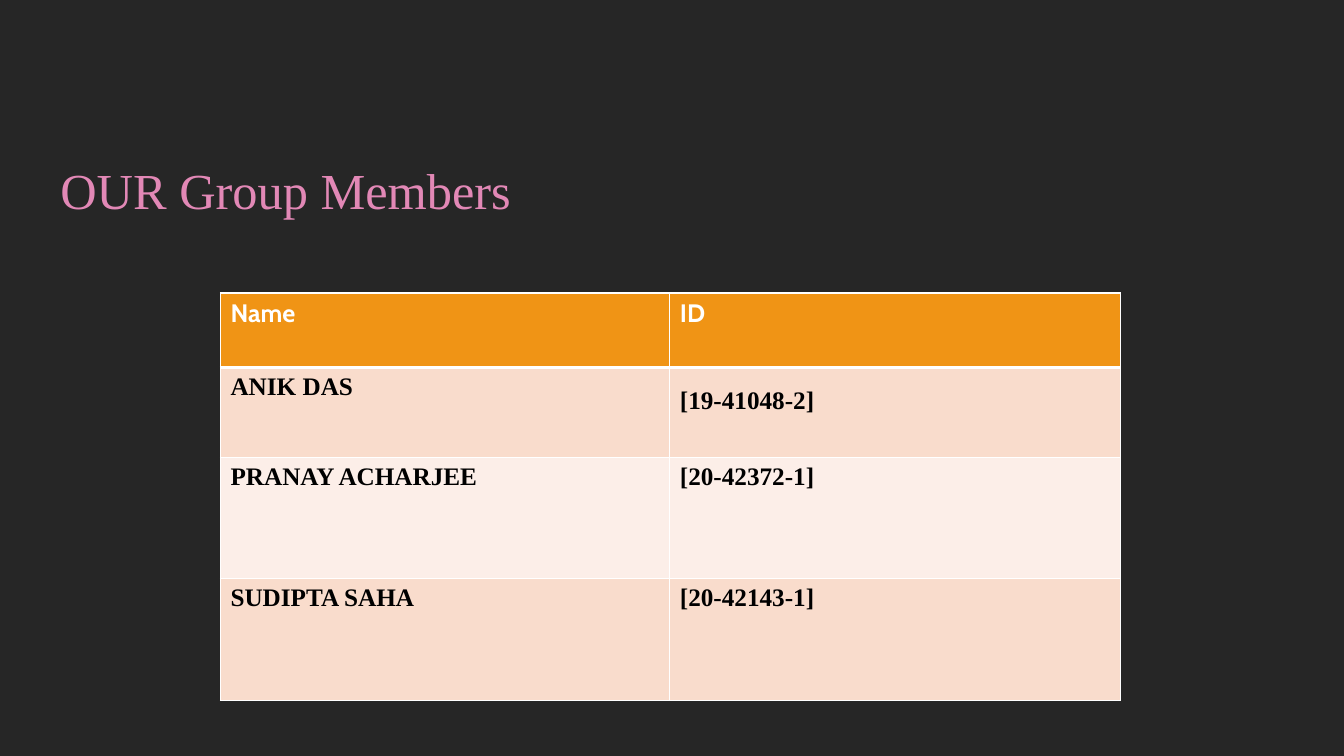
from dataclasses import dataclass

from lxml import etree
from pptx import Presentation
from pptx.dml.color import RGBColor
from pptx.enum.text import MSO_ANCHOR
from pptx.oxml.ns import qn
from pptx.util import Emu, Pt

MIDDLE = MSO_ANCHOR.MIDDLE
EMU_PER_PX = 9525


@dataclass(frozen=True)
class Theme:
    background: str = "262626"
    title: str = "E288B6"
    header: str = "F09415"
    bands: tuple = ("F9DCCC", "FCEEE8")
    header_text: str = "FFFFFF"
    body_text: str = "000000"
    border: str = "FFFFFF"
    serif: str = "Times New Roman"
    sans: str = "Cabin"
    title_size: int = 36
    cell_size: int = 18
    border_width: int = 1
    header_rule: int = 3


THEME = Theme()

HEADER = ("Name", "ID")
MEMBERS = [
    ("ANIK DAS", "[19-41048-2]"),
    ("PRANAY ACHARJEE", "[20-42372-1]"),
    ("SUDIPTA SAHA", "[20-42143-1]"),
]
FIRST_ID_LEADING = 30
TITLE_LEADING = 46
COLUMN_WIDTHS = (428, 429)
ROW_HEIGHTS = (71, 86, 115, 116)


def px(n):
    return Emu(n * EMU_PER_PX)


def rgb(color):
    return RGBColor.from_string(color)


def add_run(tf, text, font, size, color, bold=False, leading=None):
    """Put one run in the first paragraph; leading is an exact height in points."""
    p = tf.paragraphs[0]
    if leading:
        p.line_spacing = Pt(leading)
    r = p.add_run()
    r.text = text
    r.font.name = font
    r.font.size = Pt(size)
    r.font.bold = bold
    r.font.color.rgb = rgb(color)


def set_borders(cell, top, bottom):
    tc_pr = cell._tc.get_or_add_tcPr()
    side = THEME.border_width
    for tag, width in (("lnL", side), ("lnR", side), ("lnT", top), ("lnB", bottom)):
        ln = etree.SubElement(tc_pr, qn(f"a:{tag}"), w=str(Pt(width)))
        fill = etree.SubElement(ln, qn("a:solidFill"))
        etree.SubElement(fill, qn("a:srgbClr"), val=THEME.border)


def add_title(s, text):
    tf = s.shapes.add_textbox(px(48), px(96), px(784), px(165)).text_frame
    tf.word_wrap = True
    tf.vertical_anchor = MIDDLE
    add_run(tf, text, THEME.serif, THEME.title_size, THEME.title, leading=TITLE_LEADING)


def fill_cell(cell, text, row, leading=None):
    is_header = row == 0
    set_borders(
        cell,
        top=THEME.header_rule if row == 1 else THEME.border_width,
        bottom=THEME.header_rule if is_header else THEME.border_width,
    )
    cell.fill.solid()
    band = THEME.bands[(row - 1) % 2]
    cell.fill.fore_color.rgb = rgb(THEME.header if is_header else band)
    font = THEME.sans if is_header else THEME.serif
    color = THEME.header_text if is_header else THEME.body_text
    add_run(cell.text_frame, text, font, THEME.cell_size, color, True, leading)


def add_member_table(s):
    rows = [HEADER, *MEMBERS]
    table = s.shapes.add_table(
        len(rows), len(HEADER), px(210), px(279),
        px(sum(COLUMN_WIDTHS)), px(sum(ROW_HEIGHTS)),
    ).table
    for column, width in zip(table.columns, COLUMN_WIDTHS):
        column.width = px(width)
    for i, (values, height) in enumerate(zip(rows, ROW_HEIGHTS)):
        table.rows[i].height = px(height)
        for j, text in enumerate(values):
            leading = FIRST_ID_LEADING if (i, j) == (1, 1) else None
            fill_cell(table.cell(i, j), text, i, leading)


def main():
    prs = Presentation()
    prs.slide_width, prs.slide_height = px(1280), px(720)
    s = prs.slides.add_slide(prs.slide_layouts[6])
    s.background.fill.solid()
    s.background.fill.fore_color.rgb = rgb(THEME.background)
    add_title(s, "OUR Group Members")
    add_member_table(s)
    prs.save("out.pptx")


if __name__ == "__main__":
    main()
